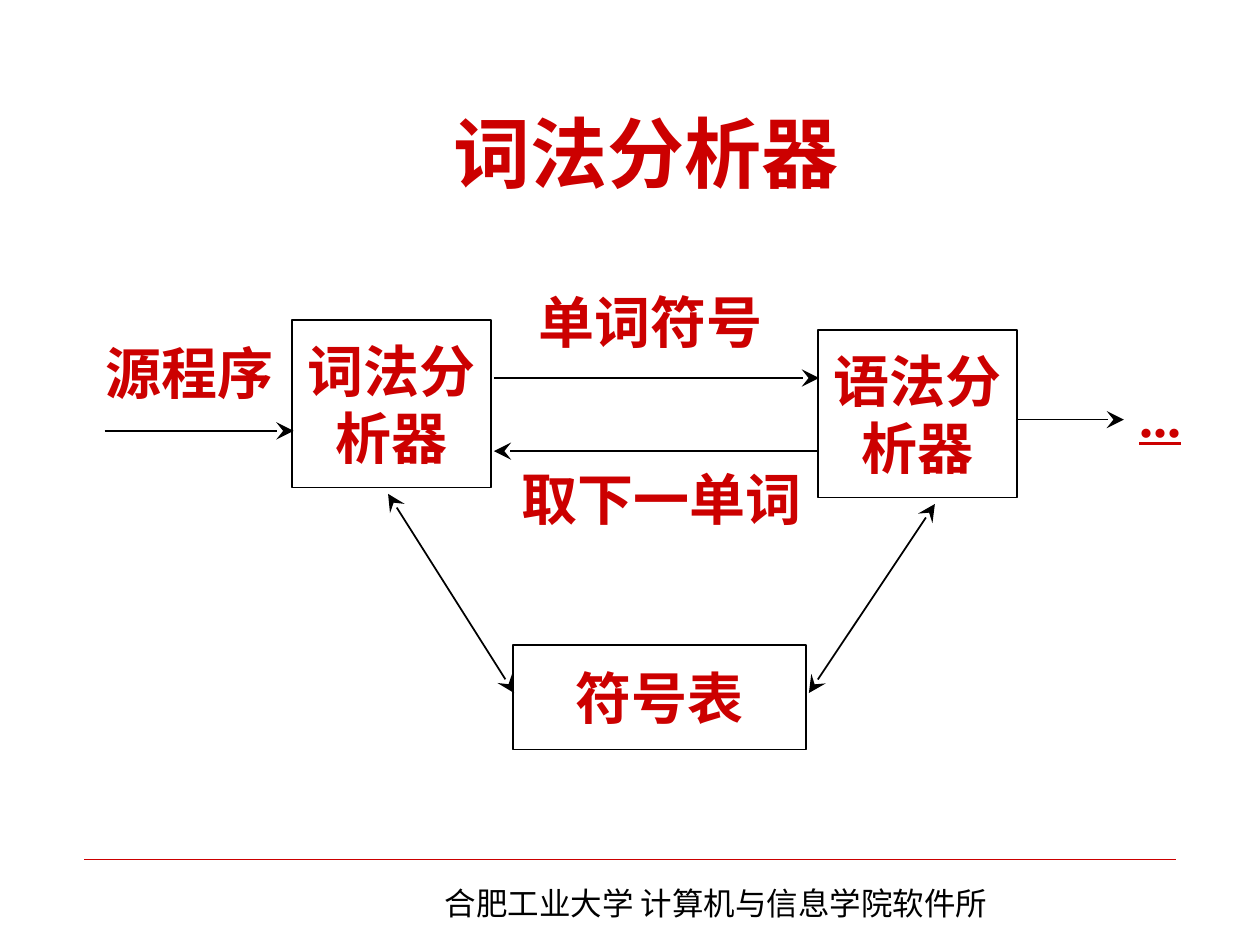
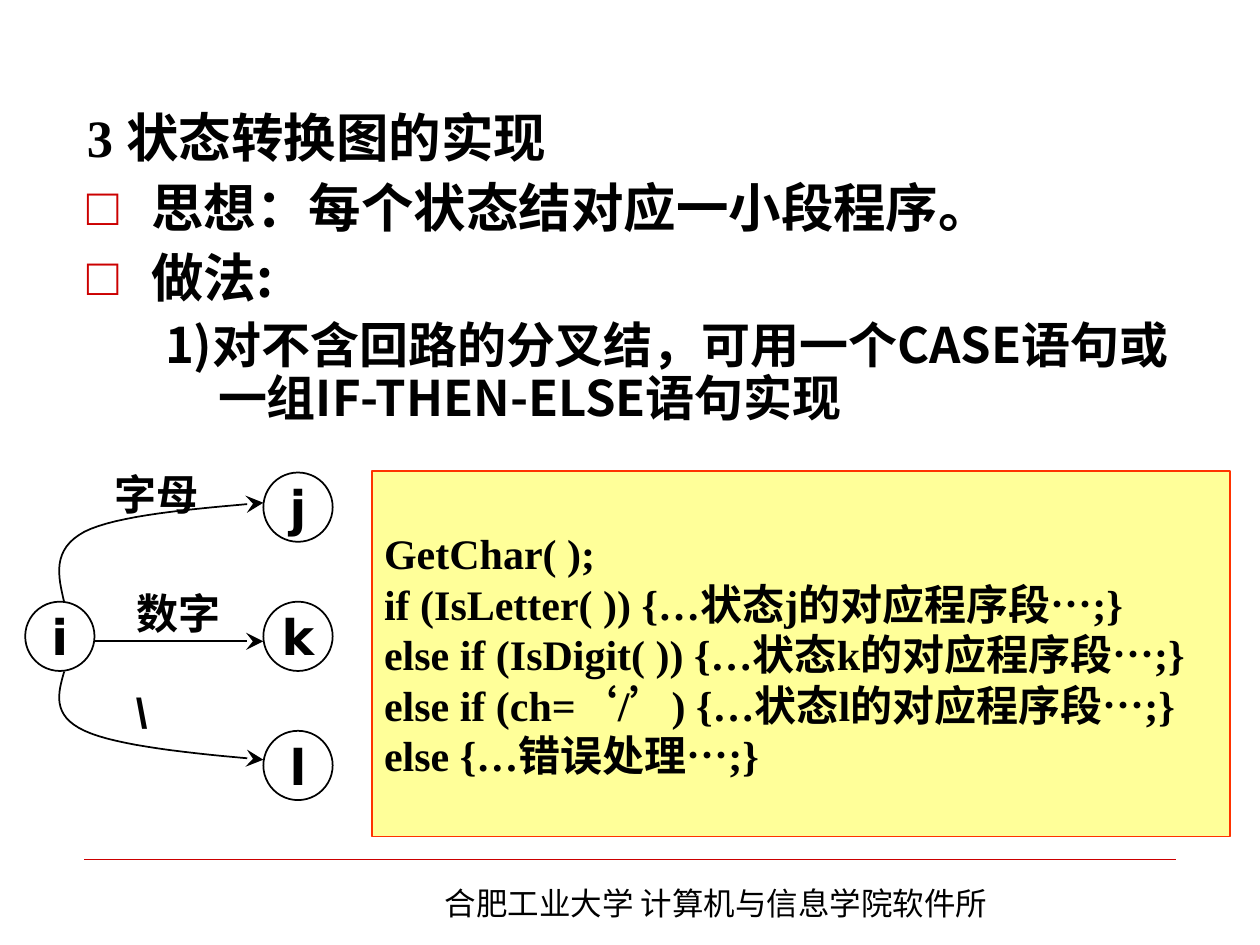
from dataclasses import dataclass

from lxml.etree import SubElement
from pptx import Presentation
from pptx.dml.color import RGBColor
from pptx.enum.shapes import MSO_CONNECTOR, MSO_SHAPE
from pptx.enum.text import MSO_ANCHOR, MSO_AUTO_SIZE, PP_ALIGN
from pptx.oxml.ns import qn
from pptx.util import Inches, Pt


@dataclass(frozen=True)
class Theme:
    red: str = "CC0000"
    ink: str = "000000"
    code_fill: str = "FFFF99"
    code_line: str = "FF3300"
    cjk: str = "Noto Sans CJK SC"
    serif: str = "Times New Roman"
    label: str = "Arial"
    state: str = "DejaVu Sans"
    title_size: int = 44
    box_size: int = 32
    head_size: int = 30
    item_size: int = 28
    code_size: int = 24
    footer_size: int = 18
    line: float = 1
    hairline: float = 0.25


def set_all(target, values):
    for name, value in values.items():
        setattr(target, name, value)


def bezier(p0, p1, p2, p3, steps=16):
    for i in range(1, steps + 1):
        t = i / steps
        weights = ((1 - t) ** 3, 3 * t * (1 - t) ** 2, 3 * t**2 * (1 - t), t**3)
        yield tuple(
            sum(w * p[axis] for w, p in zip(weights, (p0, p1, p2, p3)))
            for axis in (0, 1)
        )


class Deck:
    def __init__(self, prs, theme):
        self.prs, self.t, self.s = prs, theme, None

    def new_slide(self, layout):
        self.s = self.prs.slides.add_slide(self.prs.slide_layouts[layout])
        self.line((0.67, 6.82), (9.33, 6.82), self.t.red, self.t.hairline)
        self.text((3.43, 6.97, 4.72, 0.4), ["合肥工业大学 计算机与信息学院软件所"],
                  self.font(self.t.footer_size, self.t.cjk, bold=False),
                  align=PP_ALIGN.LEFT, anchor=MSO_ANCHOR.TOP, wrap=True, before=11.2)

    def font(self, size, name, color=None, bold=True, underline=False):
        values = dict(size=Pt(size), name=name, bold=bold, underline=underline)
        return values, color or self.t.ink

    def run(self, p, text, font):
        values, color = font
        r = p.add_run()
        r.text = text
        set_all(r.font, values)
        r.font.color.rgb = RGBColor.from_string(color)
        SubElement(r.font._element, qn("a:ea")).set("typeface", self.t.cjk)

    def place(self, sp, at):
        set_all(sp, dict(zip(("left", "top", "width", "height"), map(Inches, at))))

    def fill_text(self, sp, lines, font, align=PP_ALIGN.CENTER,
                  anchor=MSO_ANCHOR.MIDDLE, wrap=False, before=0):
        tf = sp.text_frame
        set_all(tf, dict(word_wrap=wrap, vertical_anchor=anchor,
                         auto_size=MSO_AUTO_SIZE.NONE))
        for i, line in enumerate(lines):
            p = tf.add_paragraph() if i else tf.paragraphs[0]
            set_all(p, dict(alignment=align, space_before=Pt(before)))
            self.run(p, line, font)

    def title(self, at, text):
        sp = self.s.shapes.title
        self.place(sp, at)
        self.fill_text(sp, [text], self.font(self.t.title_size, self.t.cjk, self.t.red),
                       wrap=True)

    def text(self, at, lines, font, **layout):
        sp = self.s.shapes.add_textbox(*map(Inches, at))
        self.fill_text(sp, lines, font, **layout)

    def stroke(self, sp, color=None, width=None):
        sp.line.color.rgb = RGBColor.from_string(color or self.t.ink)
        sp.line.width = Pt(width or self.t.line)

    def arrowheads(self, sp, ends):
        ln = sp._element.spPr.find(qn("a:ln"))
        for end in ends:
            head = SubElement(ln, qn(f"a:{end}"))
            for key, value in dict(type="stealth", w="lg", len="lg").items():
                head.set(key, value)

    def shape(self, kind, at, lines, font, fill=None, color=None, **layout):
        sp = self.s.shapes.add_shape(kind, *map(Inches, at))
        sp.shadow.inherit = False
        if fill:
            sp.fill.solid()
            sp.fill.fore_color.rgb = RGBColor.from_string(fill)
        else:
            sp.fill.background()
        self.stroke(sp, color)
        self.fill_text(sp, lines, font, **layout)

    def line(self, start, end, color=None, width=None, ends=()):
        sp = self.s.shapes.add_connector(MSO_CONNECTOR.STRAIGHT,
                                         *map(Inches, (*start, *end)))
        self.stroke(sp, color, width)
        self.arrowheads(sp, ends)
        SubElement(sp._element.spPr, qn("a:effectLst"))

    def arrow(self, start, end, both=False):
        ends = ("headEnd", "tailEnd") if both else ("tailEnd",)
        self.line(start, end, ends=ends)

    def curve_arrow(self, points):
        builder = self.s.shapes.build_freeform(*map(Inches, points[0]))
        vertices = [
            tuple(map(Inches, v))
            for i in range(0, len(points) - 1, 3)
            for v in bezier(*points[i:i + 4])
        ]
        builder.add_line_segments(vertices, close=False)
        sp = builder.convert_to_shape()
        sp.shadow.inherit = False
        sp.fill.background()
        self.stroke(sp)
        self.arrowheads(sp, ("tailEnd",))

    def body(self, at, items):
        self.s.shapes.title._element.getparent().remove(self.s.shapes.title._element)
        sp = self.s.placeholders[1]
        self.place(sp, at)
        tf = sp.text_frame
        set_all(tf, dict(word_wrap=True, auto_size=MSO_AUTO_SIZE.NONE,
                         vertical_anchor=MSO_ANCHOR.TOP))
        for i, (level, bullet, runs) in enumerate(items):
            p = tf.add_paragraph() if i else tf.paragraphs[0]
            margin, indent, before, size = (
                (1.04, -0.42, 7, self.t.item_size) if level
                else (0.51, -0.51, 7.5, self.t.head_size)
            )
            set_all(p, dict(level=level, line_spacing=0.9, space_before=Pt(before)))
            pPr = p._p.get_or_add_pPr()
            pPr.set("marL", str(Inches(margin)))
            pPr.set("indent", str(Inches(indent)))
            if bullet:
                clr = SubElement(pPr, qn("a:buClr"))
                SubElement(clr, qn("a:srgbClr")).set("val", self.t.red)
                SubElement(pPr, qn("a:buChar")).set("char", bullet)
            else:
                SubElement(pPr, qn("a:buNone"))
            for text, name in runs:
                self.run(p, text, self.font(size, name))


def lexer_slide(d):
    t = d.t
    d.new_slide(5)
    d.title((0.75, 0.58, 8.75, 1.25), "词法分析器")
    font = d.font(t.box_size, t.serif, t.red)
    for at, lines in (
        ((2.32, 2.54, 1.58, 1.33), ("词法分", "析器")),
        ((6.49, 2.62, 1.58, 1.33), ("语法分", "析器")),
        ((4.07, 5.12, 2.33, 0.83), ("符号表",)),
    ):
        d.shape(MSO_SHAPE.RECTANGLE, at, lines, font)
    for left, top, width, label in (
        (0.67, 2.58, 1.67, "源程序"),
        (4.33, 2.17, 1.67, "单词符号"),
        (4, 3.58, 2.5, "取下一单词"),
    ):
        d.text((left, top, width, 0.75), [label], font)
    d.text((8.75, 2.92, 0.92, 0.75), ["..."],
           d.font(t.box_size, t.serif, t.red, underline=True))
    for start, end, both in (
        ((0.83, 3.42), (2.33, 3.42), False),
        ((3.92, 3), (6.5, 3), False),
        ((6.5, 3.58), (3.92, 3.58), False),
        ((8.08, 3.33), (8.92, 3.33), False),
        ((3.08, 3.92), (4.08, 5.5), True),
        ((7.42, 4), (6.42, 5.5), True),
    ):
        d.arrow(start, end, both)


def state_slide(d):
    t = d.t
    d.new_slide(1)
    d.body((0.59, 0.84, 9, 5.83), (
        (0, None, (("3 ", t.serif), ("状态转换图的实现", t.cjk))),
        (0, "□", (("思想：每个状态结对应一小段程序。", t.cjk),)),
        (0, "□", (("做法:", t.cjk),)),
        (1, None, (("1)对不含回路的分叉结，可用一个CASE语句或一组IF-THEN-ELSE语句实现",
                    t.cjk),)),
    ))
    code = (
        "GetChar( );",
        "if (IsLetter( )) {…状态j的对应程序段…;}",
        "else if (IsDigit( )) {…状态k的对应程序段…;}",
        "else if (ch=‘/’) {…状态l的对应程序段…;}",
        "else {…错误处理…;}",
    )
    d.shape(MSO_SHAPE.RECTANGLE, (2.95, 3.74, 6.81, 2.9), code,
            d.font(t.code_size, t.serif), t.code_fill, t.code_line,
            align=PP_ALIGN.LEFT, wrap=True)

    size, source_x, target_x, first_y, step = 0.55, 0.2, 2.09, 3.75, 1.025
    states = [("i", source_x, 1)]
    states += [(name, target_x, row) for row, name in enumerate("jkl")]
    for name, x, row in states:
        d.shape(MSO_SHAPE.OVAL, (x, first_y + row * step, size, size), [name],
                d.font(t.item_size, t.state))
    d.arrow((source_x + size, 5.09), (target_x, 5.09))
    d.curve_arrow(((0.51, 4.78), (0.46, 4.57), (0.41, 4.36), (0.67, 4.22),
                   (0.93, 4.09), (1.51, 4.04), (target_x, 3.99)))
    d.curve_arrow(((0.51, 5.33), (0.46, 5.5), (0.41, 5.68), (0.67, 5.8),
                   (0.93, 5.92), (1.51, 5.98), (target_x, 6.03)))
    for left, top, width, label in (
        (0.81, 3.67, 0.86, "字母"),
        (0.99, 4.61, 0.86, "数字"),
        (0.98, 5.4, 0.29, "\\"),
    ):
        d.text((left, top, width, 0.5), [label], d.font(t.code_size, t.label),
               anchor=MSO_ANCHOR.TOP)


def main():
    prs = Presentation()
    set_all(prs, dict(slide_width=Inches(10), slide_height=Inches(7.5)))
    d = Deck(prs, Theme())
    lexer_slide(d)
    state_slide(d)
    prs.save("out.pptx")


if __name__ == "__main__":
    main()
